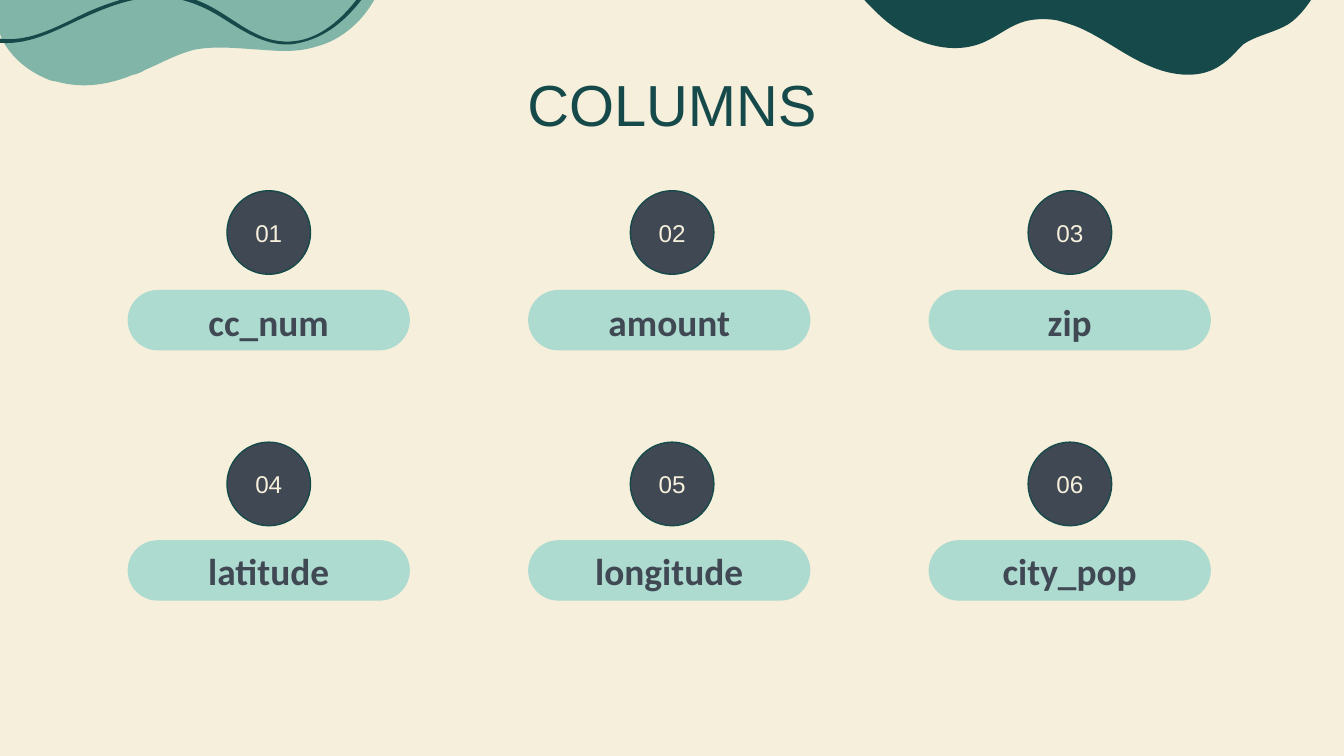
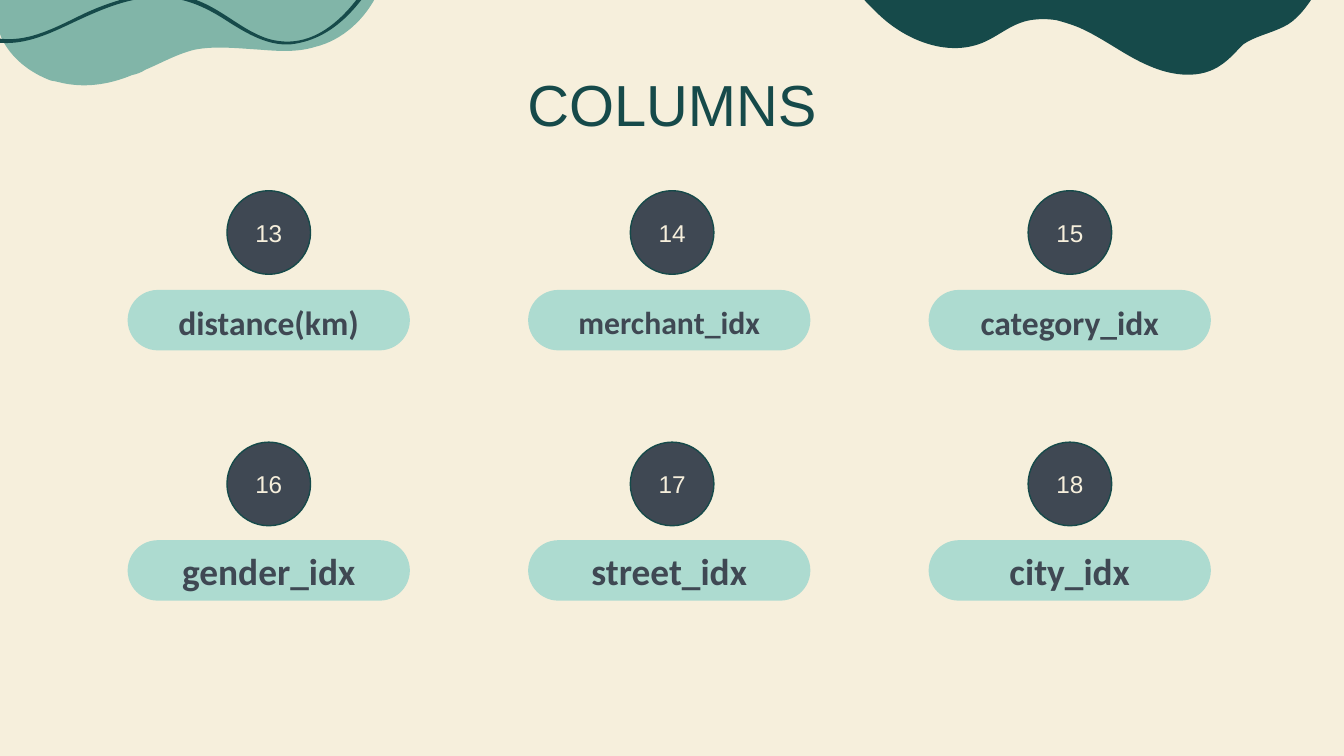
"""Build two slides that list numbered data columns."""
import pptx
import pptx.dml.color
import pptx.enum.shapes
import pptx.enum.text
import pptx.oxml.ns
import pptx.oxml.xmlchemy
import pptx.util

Pt = pptx.util.Pt
SHAPES = pptx.enum.shapes.MSO_SHAPE
ANCHOR = pptx.enum.text.MSO_ANCHOR

COLORS = {
    "cream": "F6EFDC",
    "sage": "81B5A8",
    "teal": "164A4A",
    "mint": "ADDBD0",
    "slate": "3F4853",
}

SAGE_BLOB = [
    (-2.9, -3.6),
    (-2.9, 4.3, -2.2, 12.2, 0.7, 20.2),
    (5.8, 31, 15.8, 38.9, 27.4, 43.2),
    (28.8, 43.2, 30.2, 43.9, 31, 43.9),
    (44.6, 47.5, 58.3, 45.4, 70.6, 40.3),
    (73.4, 39.6, 75.6, 38.9, 77.8, 37.4),
    (86.4, 33.8, 95, 28.8, 104.4, 26.6),
    (115.2, 24.5, 127.4, 25.9, 139, 26.6),
    (149, 27.4, 159.1, 28.1, 168.5, 25.2),
    (183.6, 21.6, 195.8, 10.1, 202.3, -3.6),
]
TEAL_BLOB = [
    (460.1, -2.9),
    (463.7, 0.7, 467.3, 4.3, 470.9, 7.9),
    (486, 22.3, 509, 31, 527.8, 22.3),
    (535.7, 18.7, 542.9, 12.2, 552.2, 10.8),
    (556.6, 10.1, 560.9, 10.1, 565.9, 10.8),
    (571, 12.2, 576, 13.7, 580.3, 15.8),
    (592.6, 21.6, 603.4, 30.2, 615.6, 35.3),
    (628.6, 41, 643.7, 42.5, 654.5, 34.6),
    (658.8, 31.7, 662.4, 27.4, 666, 23.8),
    (672.5, 19.4, 680.4, 18, 687.6, 14.4),
    (694.1, 11.5, 699.8, 4.3, 704.2, -2.9),
]
TEAL_RIBBON = [
    (-46.1, -20.2),
    (-36, 1.4, -19.4, 22.3, 7.2, 20.9),
    (20.9, 20.2, 34.6, 12.2, 46.8, 6.5),
    (58.3, 1.4, 69.8, -2.2, 82.1, -3.6),
    (92.9, -4.3, 103.7, -1.4, 113, 3.6),
    (123.8, 9.4, 132.5, 17.3, 144, 20.9),
    (175, 29.5, 195.1, -3.6, 207.4, -25.9),
    (208.1, -26.6, 209.5, -25.9, 208.8, -24.5),
    (197.3, -2.9, 182.2, 20.9, 155.5, 23.8),
    (143.3, 24.5, 132.5, 18, 123.1, 12.2),
    (110.2, 3.6, 97.9, -2.2, 82.1, -1.4),
    (67, -0.7, 52.6, 5.8, 38.9, 12.2),
    (26.6, 18, 14.4, 23.8, 0.7, 23),
    (-22.3, 22.3, -38.9, 0, -47.5, -19.4),
    (-48.2, -20.2, -46.8, -21.6, -46.1, -20.2),
]

PILL_LEFT, PILL_STEP, PILL_WIDTH, PILL_HEIGHT = 68.4, 214.56, 151.2, 32.4
PILL_TOPS = (155.3, 289.4)
LABEL_TOPS = (156.2, 289.4)
CIRCLE_LEFTS = (121.6, 337.7, 550.8)
CIRCLE_TOPS = (102.2, 236.9)
CIRCLE_SIZE = 44.8

PAGES = [
    (1, [("cc_num", 20), ("amount", 20), ("zip", 20),
         ("latitude", 20), ("longitude", 20), ("city_pop", 20)]),
    (13, [("distance(km)", 18), ("merchant_idx", 17), ("category_idx", 18),
          ("gender_idx", 20), ("street_idx", 20), ("city_idx", 20)]),
]


def rgb(name):
    """Return the named colour."""
    return pptx.dml.color.RGBColor.from_string(COLORS[name])


def paint(shape, fill, line=None):
    """Give a shape a flat fill and an optional thin outline."""
    shape.shadow.inherit = False
    shape.fill.solid()
    shape.fill.fore_color.rgb = rgb(fill)
    if line:
        shape.line.color.rgb = rgb(line)
        shape.line.width = Pt(0.75)
    else:
        shape.line.fill.background()


def write(shape, text, size, font, color, bold=False, anchor=ANCHOR.MIDDLE, inset=0):
    """Set one centred line of text in a shape."""
    frame = shape.text_frame
    frame.word_wrap = True
    frame.vertical_anchor = anchor
    frame.margin_left = frame.margin_right = Pt(inset)
    frame.margin_top = frame.margin_bottom = Pt(inset)
    para = frame.paragraphs[0]
    para.text = text
    para.alignment = pptx.enum.text.PP_ALIGN.CENTER
    para.font.size = Pt(size)
    para.font.name = font
    para.font.bold = bold
    para.font.color.rgb = rgb(color)


def bend(shape):
    """Turn each three line segments of a freeform into one cubic curve."""
    lines = list(shape.element.iter(pptx.oxml.ns.qn("a:lnTo")))
    for first, second, third in zip(lines[::3], lines[1::3], lines[2::3]):
        curve = pptx.oxml.xmlchemy.OxmlElement("a:cubicBezTo")
        first.addprevious(curve)
        for line in (first, second, third):
            curve.append(line[0])
            line.getparent().remove(line)


def add_wave(page, outline, color):
    """Draw a closed shape bounded by curves."""
    start, *curves = outline
    builder = page.shapes.build_freeform(Pt(start[0]), Pt(start[1]), scale=1.0)
    points = [(Pt(curve[i]), Pt(curve[i + 1])) for curve in curves for i in (0, 2, 4)]
    builder.add_line_segments(points, close=True)
    wave = builder.convert_to_shape()
    bend(wave)
    paint(wave, color)


def add_title(page, text):
    """Add the slide title."""
    box = page.shapes.add_textbox(Pt(56.1), Pt(36.7), Pt(607.6), Pt(36))
    write(box, text, 31, "Arial", "teal", anchor=ANCHOR.TOP)


def add_pill(page, left, top):
    """Add a rounded band behind a column name."""
    pill = page.shapes.add_shape(
        SHAPES.ROUNDED_RECTANGLE, Pt(left), Pt(top), Pt(PILL_WIDTH), Pt(PILL_HEIGHT))
    pill.adjustments[0] = 0.5
    paint(pill, "mint")


def add_label(page, left, top, text, size):
    """Add a column name."""
    box = page.shapes.add_textbox(Pt(left), Pt(top), Pt(PILL_WIDTH), Pt(PILL_HEIGHT))
    write(box, text, size, "Calibri", "slate", bold=True)


def add_number(page, left, top, number):
    """Add a numbered circle."""
    circle = page.shapes.add_shape(
        SHAPES.OVAL, Pt(left), Pt(top), Pt(CIRCLE_SIZE), Pt(CIRCLE_SIZE))
    paint(circle, "slate", "teal")
    write(circle, f"{number:02d}", 13, "Arial", "cream", inset=7.2)


def add_columns_page(deck, first_number, columns):
    """Add a slide with a grid of numbered column names."""
    page = deck.slides.add_slide(deck.slide_layouts[6])
    add_wave(page, SAGE_BLOB, "sage")
    add_wave(page, TEAL_BLOB, "teal")
    add_wave(page, TEAL_RIBBON, "teal")
    add_title(page, "COLUMNS")
    for index, (name, size) in enumerate(columns):
        row, column = divmod(index, 3)
        left = PILL_LEFT + column * PILL_STEP
        add_pill(page, left, PILL_TOPS[row])
        add_label(page, left, LABEL_TOPS[row], name, size)
        add_number(page, CIRCLE_LEFTS[column], CIRCLE_TOPS[row], first_number + index)


def main():
    """Build and save the deck."""
    deck = pptx.Presentation()
    deck.slide_width, deck.slide_height = Pt(720), Pt(405)
    background = deck.slide_master.background.fill
    background.solid()
    background.fore_color.rgb = rgb("cream")
    for first_number, columns in PAGES:
        add_columns_page(deck, first_number, columns)
    deck.save("out.pptx")


if __name__ == "__main__":
    main()
